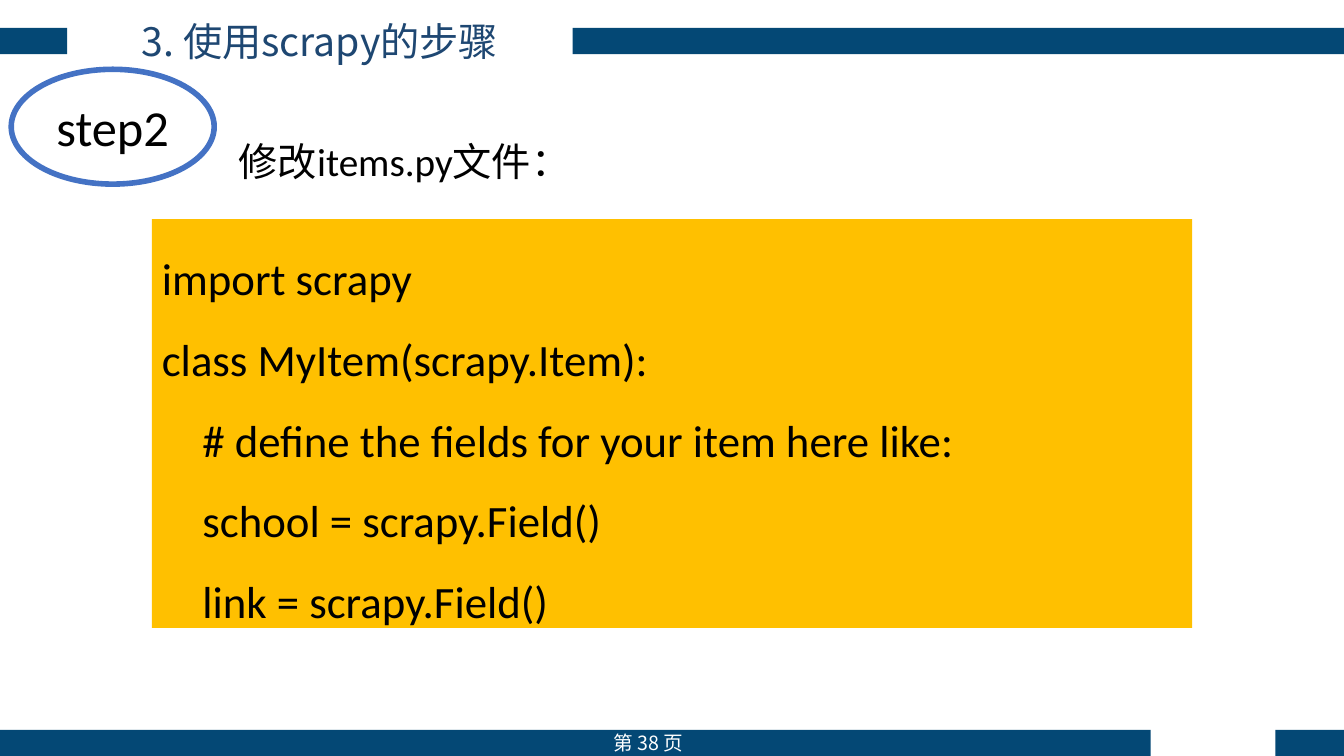
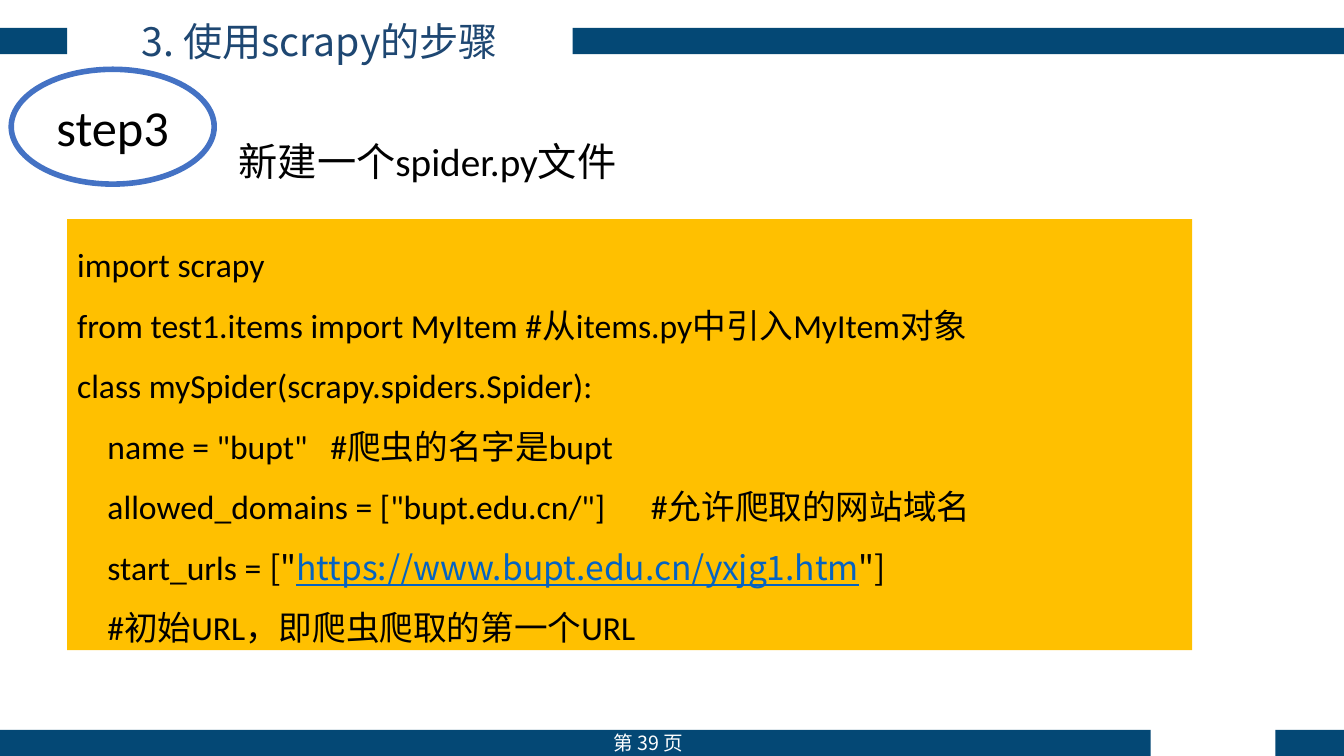
from pptx import Presentation
from pptx.dml.color import RGBColor
from pptx.enum import shapes, text
from pptx.oxml.ns import qn
from pptx.util import Pt

NAVY, TITLE_BLUE, RING_BLUE, LINK_BLUE = "044875", "1E4772", "4472C4", "0563C1"
AMBER, BLACK, WHITE = "FFC000", "000000", "FFFFFF"
LATIN, CHINESE = "Calibri", "Noto Sans CJK SC"
WIDTH, HEIGHT = 960, 540
BAND_HEIGHT = 18.7
BANDS = [  # left, top, width
    (0, 20, 48),
    (409, 20, WIDTH - 409),
    (0, HEIGHT - BAND_HEIGHT, 822),
    (911, HEIGHT - BAND_HEIGHT, WIDTH - 911),
]
CODE_RIGHT, CODE_TOP = 851.5, 156.5

LINK_LINE = [
    ("    start_urls = ", LATIN, BLACK),
    ('["', CHINESE, BLACK),
    ("https://www.bupt.edu.cn/yxjg1.htm", CHINESE, LINK_BLUE),
    ('"]', CHINESE, BLACK),
]
STEPS = [
    {
        "page": 38, "label": "step2", "task": "修改items.py文件：",
        "code_left": 108.5, "code_height": 292, "code_size": 32,
        "code": [
            "import scrapy",
            "class MyItem(scrapy.Item):",
            "    # define the fields for your item here like:",
            "    school = scrapy.Field()",
            "    link = scrapy.Field()",
        ],
    },
    {
        "page": 39, "label": "step3", "task": "新建一个spider.py文件",
        "code_left": 48, "code_height": 308, "code_size": 24,
        "code": [
            "import scrapy",
            "from test1.items import MyItem #从items.py中引入MyItem对象",
            "class mySpider(scrapy.spiders.Spider):",
            '    name = "bupt"   #爬虫的名字是bupt',
            '    allowed_domains = ["bupt.edu.cn/"]      #允许爬取的网站域名',
            LINK_LINE,
            "    #初始URL，即爬虫爬取的第一个URL",
        ],
    },
]


def color(hex_string):
    return RGBColor.from_string(hex_string)


def write(shape, lines, size, font=LATIN, ink=BLACK, align=text.PP_ALIGN.LEFT,
          anchor=text.MSO_ANCHOR.TOP, spacing=1.0, insets=(7.2, 3.6)):
    """Fill a shape with lines, each a string or a list of (text, font, colour) runs."""
    frame = shape.text_frame
    frame.word_wrap = True
    frame.auto_size = text.MSO_AUTO_SIZE.NONE
    frame.vertical_anchor = anchor
    frame.margin_left = frame.margin_right = Pt(insets[0])
    frame.margin_top = frame.margin_bottom = Pt(insets[1])
    for index, line in enumerate(lines):
        paragraph = frame.add_paragraph() if index else frame.paragraphs[0]
        paragraph.alignment = align
        paragraph.line_spacing = spacing
        paragraph.font.size = Pt(size)
        paragraph.font.name = font
        paragraph.font.color.rgb = color(ink)
        if isinstance(line, str):
            paragraph.add_run().text = line
            continue
        for words, run_font, run_ink in line:
            run = paragraph.add_run()
            run.text = words
            run.font.name = run_font
            run.font.color.rgb = color(run_ink)
            run.font.underline = run_ink == LINK_BLUE
    for properties in frame._txBody.iter(qn("a:defRPr"), qn("a:rPr")):
        latin = properties.find(qn("a:latin"))
        if latin is not None:
            east_asian = latin.makeelement(qn("a:ea"), {"typeface": CHINESE})
            latin.addnext(east_asian)


presentation = Presentation()
presentation.slide_width, presentation.slide_height = Pt(WIDTH), Pt(HEIGHT)
title_only = presentation.slide_layouts[5]
center, middle = text.PP_ALIGN.CENTER, text.MSO_ANCHOR.MIDDLE

for step in STEPS:
    slide = presentation.slides.add_slide(title_only)

    for left, top, width in BANDS:
        band = slide.shapes.add_shape(shapes.MSO_SHAPE.RECTANGLE, Pt(left), Pt(top),
                                      Pt(width), Pt(BAND_HEIGHT))
        band.shadow.inherit = False
        band.fill.solid()
        band.fill.fore_color.rgb = color(NAVY)
        band.line.fill.background()

    page_number = slide.shapes.add_textbox(Pt(417.5), Pt(518.5), Pt(91.5), Pt(24.5))
    write(page_number, [f"第 {step['page']} 页"], 14, CHINESE, WHITE, center,
          insets=(3.6, 3.6))

    title = slide.shapes.title
    title.left, title.top, title.width, title.height = Pt(48), Pt(8.5), Pt(361), Pt(41)
    write(title, ["3. 使用scrapy的步骤"], 28, CHINESE, TITLE_BLUE, center, middle)

    task = slide.shapes.add_textbox(Pt(163.5), Pt(74), Pt(688), Pt(133))
    write(task, [step["task"]], 28, spacing=1.5, insets=(7.2, 7.2))

    code = slide.shapes.add_shape(
        shapes.MSO_SHAPE.RECTANGLE, Pt(step["code_left"]), Pt(CODE_TOP),
        Pt(CODE_RIGHT - step["code_left"]), Pt(step["code_height"]))
    code.shadow.inherit = False
    code.fill.solid()
    code.fill.fore_color.rgb = color(AMBER)
    code.line.fill.background()
    write(code, step["code"], step["code_size"], spacing=1.5)

    badge = slide.shapes.add_shape(shapes.MSO_SHAPE.OVAL, Pt(8), Pt(49.5), Pt(145), Pt(82))
    badge.shadow.inherit = False
    badge.fill.solid()
    badge.fill.fore_color.rgb = color(WHITE)
    badge.line.color.rgb = color(RING_BLUE)
    badge.line.width = Pt(4)
    write(badge, [step["label"]], 36, align=center, insets=(7.2, 7.2))

presentation.save("out.pptx")
